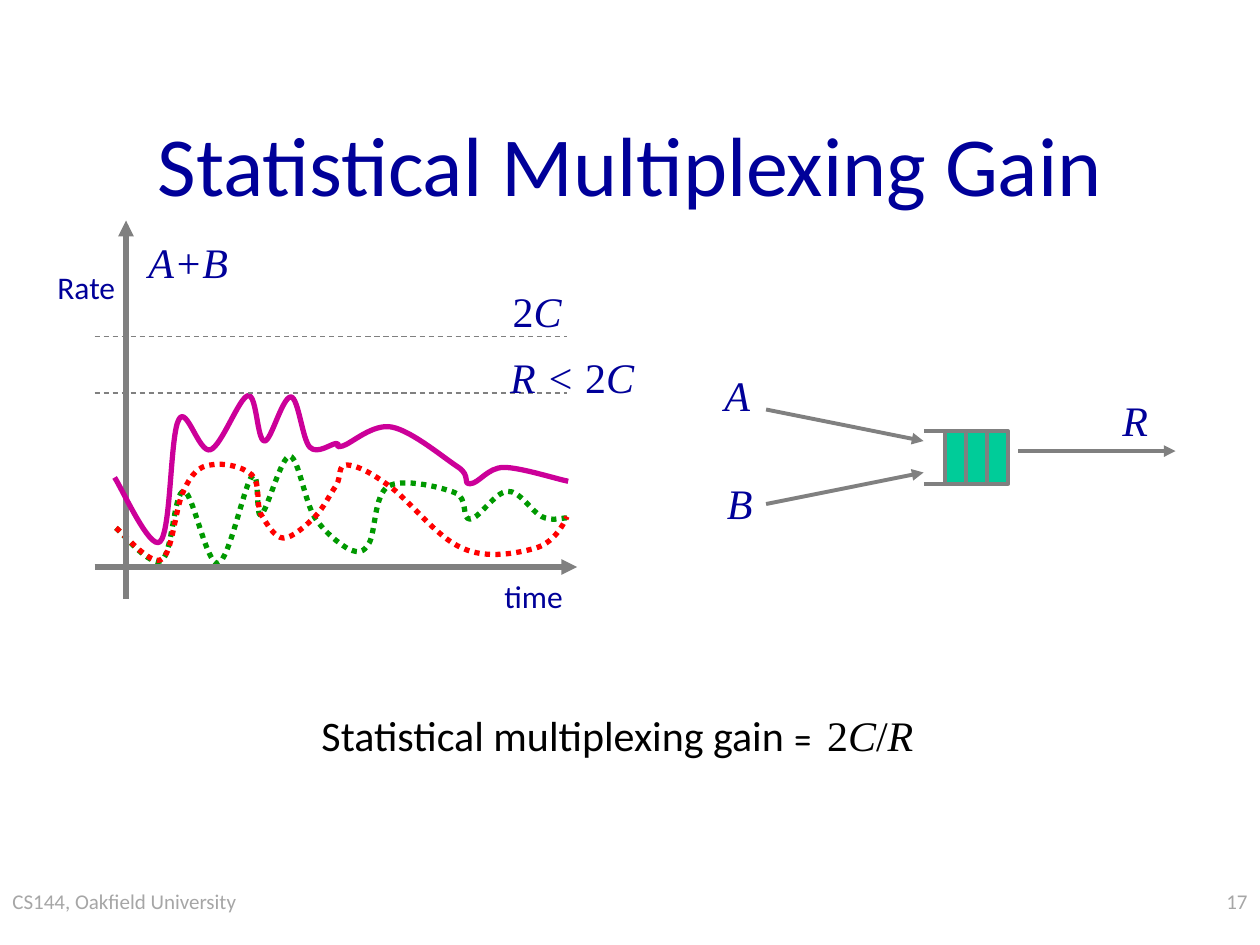
from dataclasses import dataclass

from lxml.etree import SubElement
from pptx import Presentation
from pptx.dml.color import RGBColor
from pptx.enum.dml import MSO_LINE
from pptx.enum.shapes import MSO_CONNECTOR, MSO_SHAPE
from pptx.enum.text import MSO_ANCHOR, MSO_AUTO_SIZE, PP_ALIGN
from pptx.oxml.ns import qn
from pptx.util import Inches, Pt


@dataclass(frozen=True)
class Theme:
    navy: str = "000099"
    black: str = "000000"
    gray: str = "808080"
    footer: str = "A6A6A6"
    teal: str = "00CC99"
    green: str = "009900"
    red: str = "FF0000"
    magenta: str = "CC0099"
    sans: str = "Calibri"
    serif: str = "Times New Roman"
    comic: str = "Comic Neue"
    title_size: int = 48
    math_size: int = 24
    axis_size: int = 18
    footer_size: int = 12


T = Theme()

# A curve is its start point, then segments of (control 1, control 2, end) as x, y pairs.
RATE_B = ((0.92, 4.19), [
    (0.98, 4.24, 1.19, 4.5, 1.28, 4.45), (1.37, 4.4, 1.38, 3.89, 1.46, 3.9),
    (1.53, 3.9, 1.64, 4.49, 1.73, 4.47), (1.82, 4.45, 1.94, 3.84, 2, 3.78),
    (2.06, 3.71, 2.03, 4.11, 2.07, 4.09), (2.12, 4.06, 2.23, 3.62, 2.3, 3.62),
    (2.37, 3.63, 2.42, 3.99, 2.5, 4.11), (2.58, 4.23, 2.7, 4.32, 2.77, 4.36),
    (2.85, 4.39, 2.88, 4.39, 2.93, 4.31), (2.98, 4.22, 2.97, 3.93, 3.08, 3.86),
    (3.2, 3.79, 3.51, 3.87, 3.61, 3.91), (3.72, 3.95, 3.66, 4.12, 3.73, 4.12),
    (3.8, 4.12, 3.93, 3.9, 4.03, 3.9), (4.12, 3.89, 4.22, 4.06, 4.3, 4.1),
    (4.38, 4.14, 4.46, 4.11, 4.5, 4.11)])
RATE_A = ((0.92, 4.19), [
    (0.98, 4.23, 1.19, 4.49, 1.28, 4.44), (1.37, 4.4, 1.39, 4.02, 1.46, 3.89),
    (1.52, 3.76, 1.58, 3.7, 1.67, 3.69), (1.76, 3.67, 1.93, 3.7, 2, 3.77),
    (2.07, 3.84, 2.03, 3.99, 2.07, 4.08), (2.12, 4.16, 2.18, 4.27, 2.25, 4.27),
    (2.32, 4.27, 2.43, 4.17, 2.5, 4.1), (2.57, 4.03, 2.62, 3.92, 2.67, 3.85),
    (2.71, 3.78, 2.68, 3.69, 2.75, 3.69), (2.82, 3.69, 2.93, 3.74, 3.08, 3.85),
    (3.24, 3.96, 3.47, 4.27, 3.67, 4.35), (3.86, 4.44, 4.11, 4.39, 4.25, 4.35),
    (4.39, 4.31, 4.47, 4.17, 4.5, 4.1)])
RATE_SUM = ((0.91, 3.79), [
    (0.97, 3.88, 1.19, 4.37, 1.27, 4.3), (1.36, 4.22, 1.35, 3.45, 1.42, 3.33),
    (1.48, 3.21, 1.58, 3.6, 1.67, 3.57), (1.76, 3.54, 1.9, 3.15, 1.97, 3.14),
    (2.04, 3.13, 2.04, 3.5, 2.1, 3.5), (2.15, 3.51, 2.24, 3.15, 2.31, 3.15),
    (2.37, 3.16, 2.4, 3.49, 2.46, 3.55), (2.52, 3.61, 2.63, 3.52, 2.67, 3.52),
    (2.71, 3.52, 2.64, 3.56, 2.72, 3.54), (2.79, 3.52, 2.96, 3.36, 3.11, 3.39),
    (3.27, 3.42, 3.53, 3.64, 3.64, 3.71), (3.74, 3.78, 3.67, 3.84, 3.73, 3.84),
    (3.8, 3.84, 3.87, 3.71, 4, 3.71), (4.13, 3.71, 4.41, 3.8, 4.51, 3.82)])


def add_run(p, text, color=T.navy, **font):
    r = p.add_run()
    r.text = text
    r.font.color.rgb = RGBColor.from_string(color)
    for name, value in font.items():
        setattr(r.font, name, value)


def add_text(s, box, runs, align=PP_ALIGN.LEFT, wrap=False, grow=True):
    """Add a text box; runs are (text, font values) pairs."""
    tf = s.shapes.add_textbox(*map(Inches, box)).text_frame
    tf.word_wrap = wrap
    tf.auto_size = MSO_AUTO_SIZE.SHAPE_TO_FIT_TEXT if grow else MSO_AUTO_SIZE.NONE
    p = tf.paragraphs[0]
    p.alignment = align
    for text, font in runs:
        add_run(p, text, **font)


def math(text, italic=True, color=T.navy):
    return text, dict(name=T.serif, size=Pt(T.math_size), italic=italic, color=color)


def sans(text, size, color=T.navy, name=T.sans):
    return text, dict(name=name, size=Pt(size), color=color)


def style_line(line, color, width, dash=None):
    line.color.rgb = RGBColor.from_string(color)
    line.width = Pt(width)
    if dash:
        line.dash_style = dash


def add_line(shapes, start, end, width=2.25, dash=None, arrow=False):
    """Add a gray line, with an arrowhead at its end if asked."""
    line = shapes.add_connector(MSO_CONNECTOR.STRAIGHT, *map(Inches, start + end))
    style_line(line.line, T.gray, width, dash)
    if arrow:
        SubElement(line.line._get_or_add_ln(), qn("a:tailEnd"), type="triangle")
    SubElement(line._element.spPr, qn("a:effectLst"))


def add_curve(s, curve, color, dash=None):
    """Draw a freeform through the end points, then bend each side into a Bézier."""
    start, segments = curve
    ends = [segment[4:] for segment in segments]
    builder = s.shapes.build_freeform(*map(Inches, start))
    builder.add_line_segments([tuple(map(Inches, end)) for end in ends], close=False)
    sp = builder.convert_to_shape()
    sp.shadow.inherit = False
    sp.fill.background()
    style_line(sp.line, color, 3, dash)
    for side, segment in zip(list(sp._element.iter(qn("a:lnTo"))), segments):
        side.clear()
        side.tag = qn("a:cubicBezTo")
        for x, y in zip(segment[::2], segment[1::2]):
            SubElement(side, qn("a:pt"), x=str(Inches(x) - sp.left),
                       y=str(Inches(y) - sp.top))


def add_queue(s, left=7.5, top=3.42, height=0.42, cells=3):
    shapes = s.shapes.add_group_shape().shapes
    width = 1 / 6
    for i in range(cells):
        box = (left + i * width, top, width, height)
        sp = shapes.add_shape(MSO_SHAPE.RECTANGLE, *map(Inches, box))
        sp.shadow.inherit = False
        sp.fill.solid()
        sp.fill.fore_color.rgb = RGBColor.from_string(T.teal)
        style_line(sp.line, T.gray, 2.25)
    for y in (top, top + height):
        add_line(shapes, (left - width, y), (left + width, y))


def add_title(s, text):
    title = s.shapes.title
    for name, value in dict(left=0.75, top=0.67, width=8.5, height=1.25).items():
        setattr(title, name, Inches(value))
    tf = title.text_frame
    tf.vertical_anchor = MSO_ANCHOR.MIDDLE
    tf.paragraphs[0].alignment = PP_ALIGN.CENTER
    add_run(tf.paragraphs[0], text, name=T.sans, size=Pt(T.title_size))


def add_multiplexer(s):
    for y, end_y in ((3.25, 3.5), (4, 3.75)):
        add_line(s.shapes, (6.08, y), (7.33, end_y), arrow=True)
    add_queue(s)
    add_line(s.shapes, (8.08, 3.58), (9.33, 3.58), arrow=True)
    for text, x, y in (("A", 5.65, 2.88), ("B", 5.67, 3.74), ("R", 8.81, 3.08)):
        add_text(s, (x, y, 0.4, 0.5), [math(text)])


def add_rate_plot(s):
    add_curve(s, RATE_B, T.green, MSO_LINE.ROUND_DOT)
    add_curve(s, RATE_A, T.red, MSO_LINE.ROUND_DOT)
    add_line(s.shapes, (1, 4.75), (1, 1.75), width=3, arrow=True)
    add_line(s.shapes, (0.75, 4.5), (4.58, 4.5), width=3, arrow=True)
    add_curve(s, RATE_SUM, T.magenta)
    for y in (3.12, 2.67):
        add_line(s.shapes, (0.75, y), (4.5, y), 0.75, MSO_LINE.DASH)
    add_text(s, (3.97, 2.22, 0.59, 0.5), [math("2", False), math("C")])
    add_text(s, (3.95, 2.74, 1.19, 0.5), [math("R < "), math("2", False), math("C")])
    add_text(s, (1.08, 1.83, 0.83, 0.5), [math("A+B")])
    for text, x, y in (("time", 3.9, 4.53), ("Rate", 0.35, 2.08)):
        add_text(s, (x, y, 0.67, 0.4), [sans(text, T.axis_size)], PP_ALIGN.CENTER)


def main():
    prs = Presentation()
    prs.slide_width, prs.slide_height = Inches(10), Inches(7.5)
    s = prs.slides.add_slide(prs.slide_layouts[5])
    add_title(s, "Statistical Multiplexing Gain")
    add_text(s, (0, 7, 2.42, 0.5),
             [sans("CS144, Oakfield University", T.footer_size, T.footer)],
             wrap=True, grow=False)
    add_text(s, (7.92, 7, 2.08, 0.5), [sans("17", T.footer_size, T.footer)],
             PP_ALIGN.RIGHT, wrap=True, grow=False)
    add_multiplexer(s)
    add_rate_plot(s)
    add_text(s, (0.94, 5.58, 7.92, 0.5), [
        sans("Statistical multiplexing gain ", T.math_size, T.black),
        sans("= ", T.math_size, T.black, T.comic),
        math("2", False, T.black), math("C", color=T.black),
        math("/", False, T.black), math("R", color=T.black)],
        PP_ALIGN.CENTER, wrap=True)
    prs.save("out.pptx")


if __name__ == "__main__":
    main()
